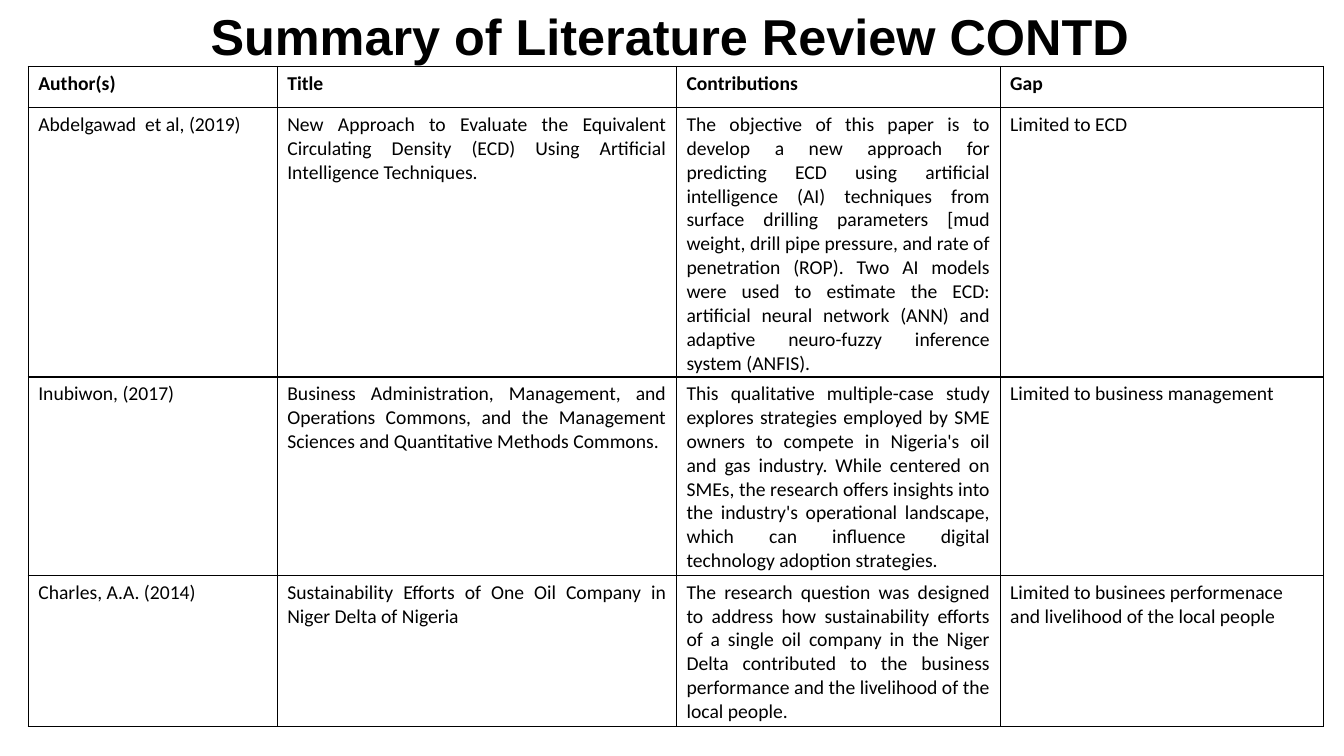
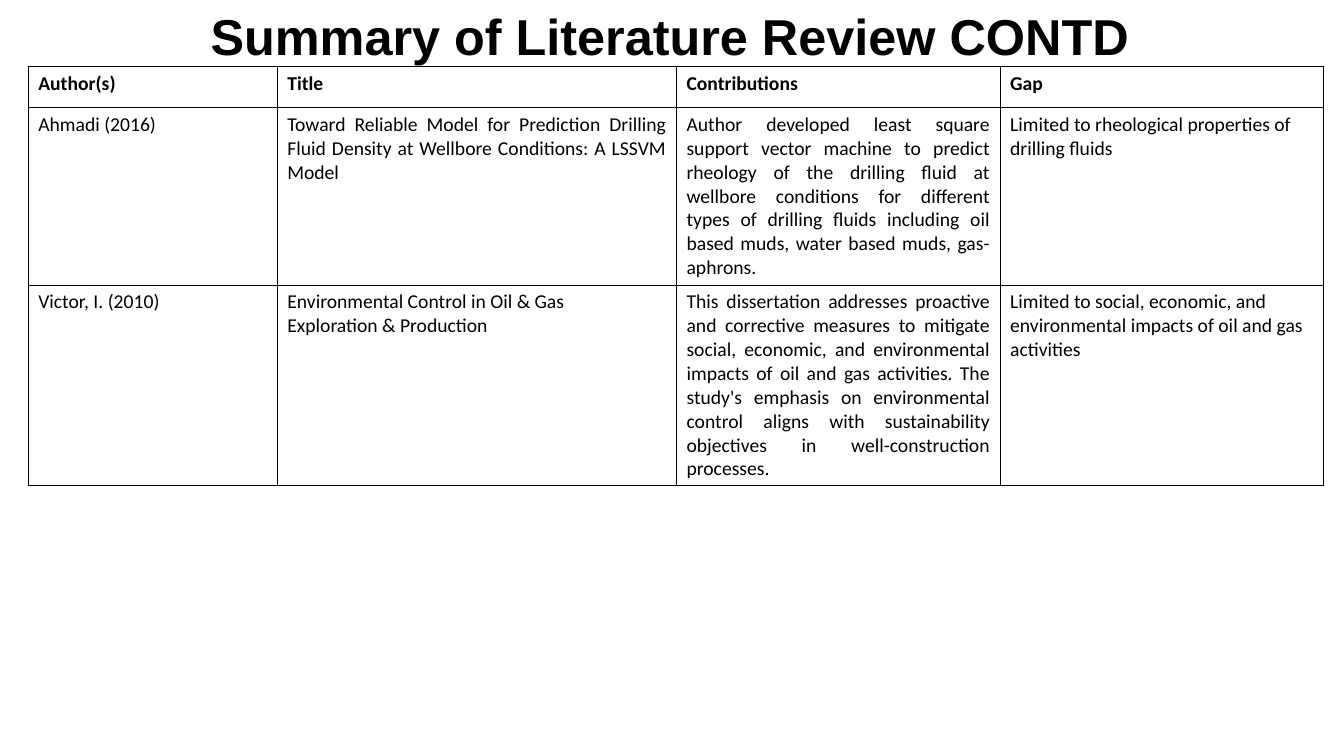
from lxml import etree
from pptx import Presentation
from pptx.dml.color import RGBColor
from pptx.enum.text import MSO_ANCHOR, PP_ALIGN
from pptx.oxml.ns import qn
from pptx.util import Inches, Pt

LEFT, JUSTIFY = PP_ALIGN.LEFT, PP_ALIGN.JUSTIFY
TOP = MSO_ANCHOR.TOP
INK = RGBColor(0x00, 0x00, 0x00)
TITLE_FONT, BODY_FONT = "Arial", "Calibri"
BORDER_WIDTH = Pt(1)
BORDER_SIDES = ("a:lnL", "a:lnR", "a:lnT", "a:lnB")

TITLE = "Summary of Literature Review CONTD"
TITLE_BOX = (1.99, 0, 9.54, 1.31)
TABLE_ORIGIN = (0.28, 0.66)
HEADINGS = ("Author(s)", "Title", "Contributions", "Gap")
COLUMN_WIDTHS = (2.47, 3.96, 3.21, 3.21)
COLUMN_ALIGNMENTS = (LEFT, JUSTIFY, JUSTIFY, LEFT)
HEADING_HEIGHT = 0.41

REVIEWS = [
    [
        (2.67, (
            "Abdelgawad  et al, (2019)",
            "New Approach to Evaluate the Equivalent Circulating Density (ECD) "
            "Using Artificial Intelligence Techniques.",
            "The objective of this paper is to develop a new approach for "
            "predicting ECD using artificial intelligence (AI) techniques from "
            "surface drilling parameters [mud weight, drill pipe pressure, and "
            "rate of penetration (ROP). Two AI models were used to estimate the "
            "ECD: artificial neural network (ANN) and adaptive neuro-fuzzy "
            "inference system (ANFIS).",
            "Limited to ECD",
        )),
        (1.97, (
            "Inubiwon, (2017)",
            "Business Administration, Management, and Operations Commons, and "
            "the Management Sciences and Quantitative Methods Commons.",
            "This qualitative multiple-case study explores strategies employed "
            "by SME owners to compete in Nigeria's oil and gas industry. While "
            "centered on SMEs, the research offers insights into the industry's "
            "operational landscape, which can influence digital technology "
            "adoption strategies.",
            "Limited to business management",
        )),
        (1.5, (
            "Charles, A.A. (2014)",
            "Sustainability Efforts of One Oil Company in Niger Delta of Nigeria",
            "The research question was designed to address how sustainability "
            "efforts of a single oil company in the Niger Delta contributed to "
            "the business performance and the livelihood of the local people.",
            "Limited to businees performenace and livelihood of the local people",
        )),
    ],
    [
        (1.76, (
            "Ahmadi (2016)",
            "Toward Reliable Model for Prediction Drilling Fluid Density at "
            "Wellbore Conditions: A LSSVM Model",
            "Author developed least square support vector machine to predict "
            "rheology of the drilling fluid at wellbore conditions for different "
            "types of drilling fluids including oil based muds, water based "
            "muds, gas-aphrons.",
            "Limited to rheological properties of drilling fluids",
        )),
        (1.99, (
            "Victor, I. (2010)",
            "Environmental Control in Oil & Gas\nExploration & Production",
            "This dissertation addresses proactive and corrective measures to "
            "mitigate social, economic, and environmental impacts of oil and gas "
            "activities. The study's emphasis on environmental control aligns "
            "with sustainability objectives in well-construction processes.",
            "Limited to social, economic, and environmental impacts of oil and "
            "gas activities",
        )),
    ],
]


def write_text(frame, text, font=BODY_FONT, size=14, bold=False, align=LEFT):
    """Fill a text frame with one formatted paragraph per line of text."""
    frame.text = text
    for paragraph in frame.paragraphs:
        paragraph.alignment = align
        for run in paragraph.runs:
            run.font.name = font
            run.font.size = Pt(size)
            run.font.bold = bold
            run.font.color.rgb = INK


def outline_cell(cell):
    """Leave a cell unfilled and rule all four of its sides."""
    cell.fill.background()
    properties = cell._tc.get_or_add_tcPr()
    for position, side in enumerate(BORDER_SIDES):
        border = etree.Element(qn(side), w=str(BORDER_WIDTH))
        ink = etree.SubElement(border, qn("a:solidFill"))
        etree.SubElement(ink, qn("a:srgbClr"), val=str(INK))
        properties.insert(position, border)


def add_title(slide, box):
    """Place the slide title in the given box."""
    frame = slide.shapes.add_textbox(*map(Inches, box)).text_frame
    frame.word_wrap = False
    frame.vertical_anchor = TOP
    write_text(frame, TITLE, font=TITLE_FONT, size=36, bold=True)


def add_review_table(slide, origin, reviews):
    """Place the headings and reviewed works in a table at the given origin."""
    rows = [(HEADING_HEIGHT, HEADINGS), *reviews]
    size = (sum(COLUMN_WIDTHS), sum(height for height, _ in rows))
    table = slide.shapes.add_table(
        len(rows), len(HEADINGS), *map(Inches, (*origin, *size))).table
    table.first_row = table.horz_banding = False
    for column, width in zip(table.columns, COLUMN_WIDTHS):
        column.width = Inches(width)
    for index, (row, (height, entries)) in enumerate(zip(table.rows, rows)):
        row.height = Inches(height)
        is_heading = index == 0
        for cell, entry, align in zip(row.cells, entries, COLUMN_ALIGNMENTS):
            write_text(cell.text_frame, entry, bold=is_heading,
                       align=LEFT if is_heading else align)
            outline_cell(cell)


def add_review_slide(deck, reviews):
    """Add one literature review slide."""
    slide = deck.slides.add_slide(deck.slide_layouts[6])
    add_title(slide, TITLE_BOX)
    add_review_table(slide, TABLE_ORIGIN, reviews)


def main():
    """Build and save the deck."""
    deck = Presentation()
    deck.slide_width, deck.slide_height = Inches(13.33), Inches(7.5)
    for reviews in REVIEWS:
        add_review_slide(deck, reviews)
    deck.save("out.pptx")


if __name__ == "__main__":
    main()
